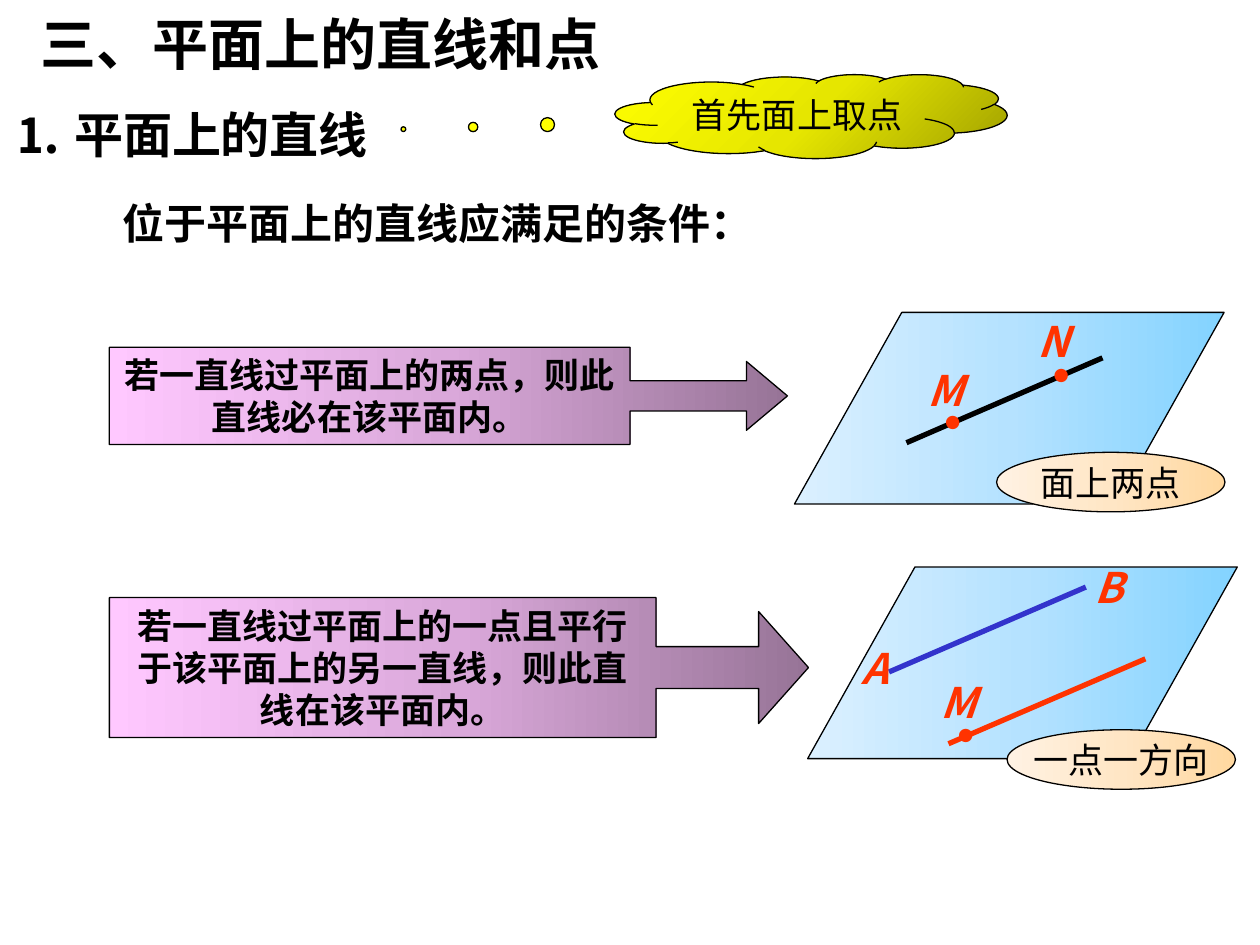
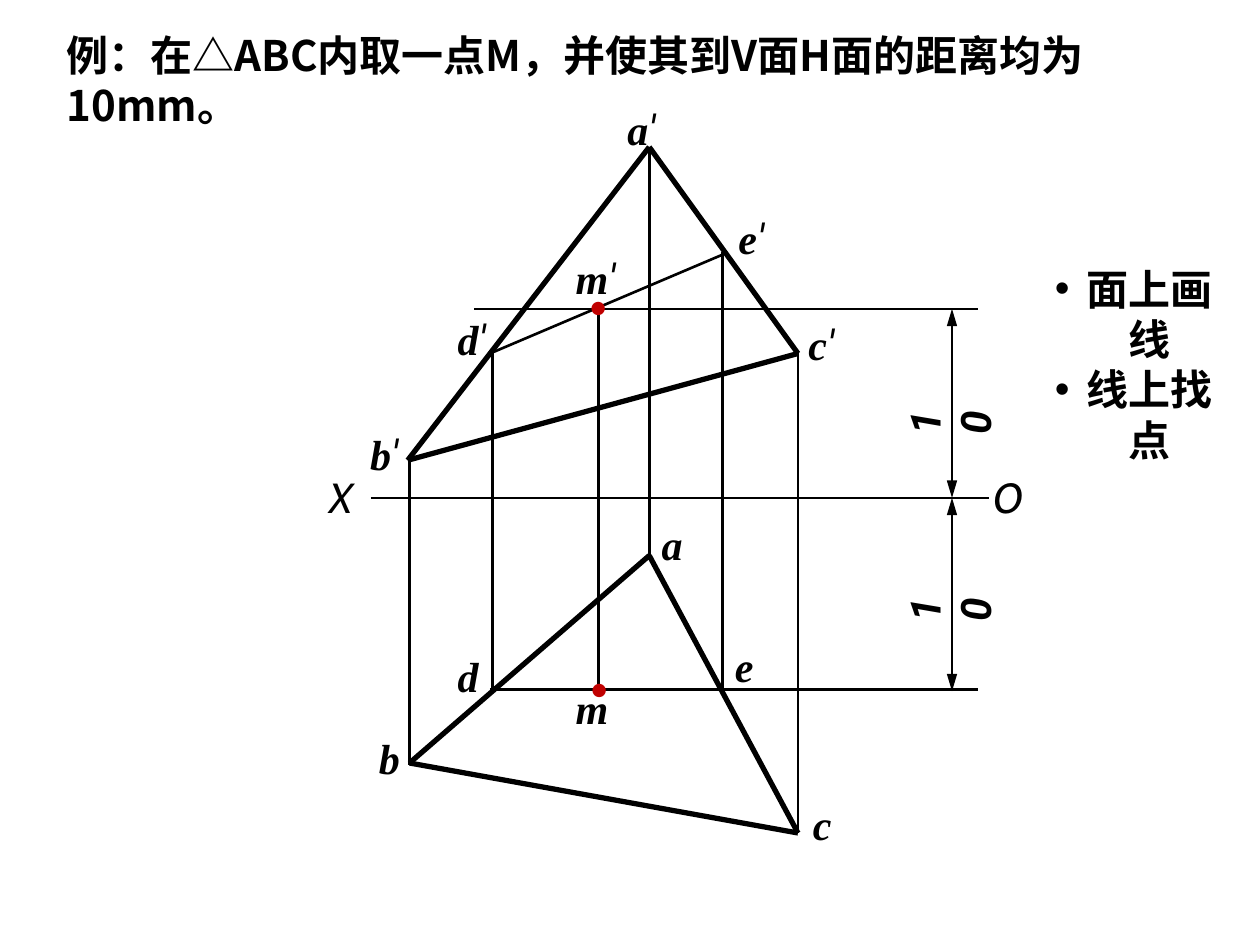
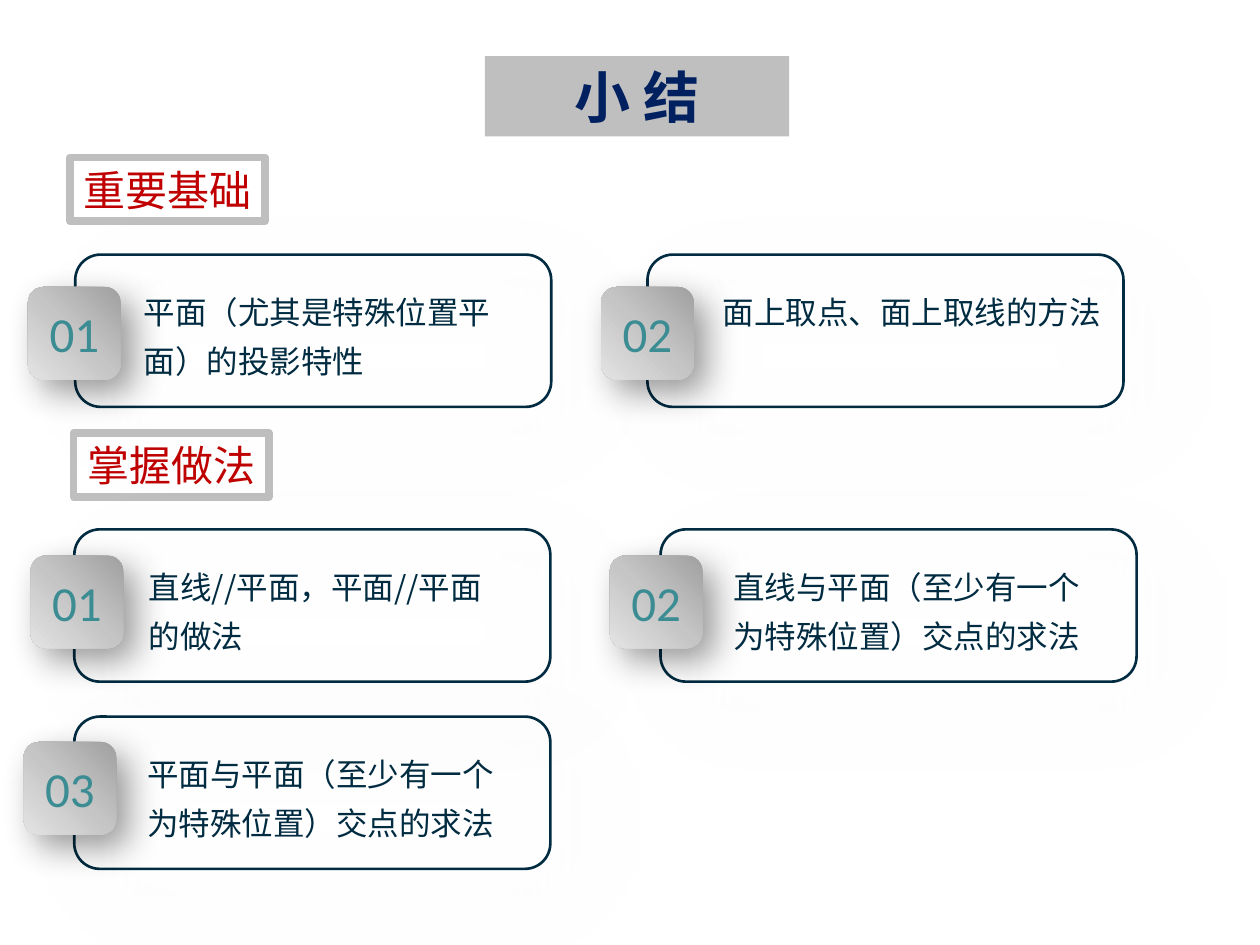
"""Build three slides on lines and points in a plane."""
from copy import deepcopy
from lxml.etree import SubElement
from pptx import Presentation
from pptx.dml.color import RGBColor
from pptx.enum.shapes import MSO_CONNECTOR, MSO_SHAPE
from pptx.enum.text import MSO_ANCHOR, MSO_AUTO_SIZE, PP_ALIGN
from pptx.oxml.ns import qn
from pptx.util import Pt

HAN = "Noto Sans CJK SC"
ROMAN = "Times New Roman"
BLACK, RED, DARK, ORANGE = "000000", "C00000", "002B41", "FF3300"
GRAY = "BFBFBF"
SKY = ("83D3FF", "B5E2FF", "DBF0FF")
PINK = ("977497", "DAA8DA", "FFC8FF")
GOLD = ("A0A000", "E6E600", "FFFF00")
PEACH = ("FFD8A0", "FFE6C5", "FFF2E3")
STEEL = ("A0A0A0", "C5C5C5", "E3E3E3")
LEFT, MID = PP_ALIGN.LEFT, PP_ALIGN.CENTER
TOP, HALF = MSO_ANCHOR.TOP, MSO_ANCHOR.MIDDLE
hue = RGBColor.from_string


def put(slide, kind, box, fades=None, turn=180, edge=None, wide=0.75, shade=None, tweak=()):
    """Add a preset shape with a gradient, an outline and a shadow."""
    shape = slide.shapes.add_shape(kind, *map(Pt, box))
    for spot, value in enumerate(tweak):
        shape.adjustments[spot] = value
    if fades:
        shape.fill.gradient()
        shape.fill.gradient_angle = 360 - turn
        first = shape._element.spPr.find(".//" + qn("a:gs"))
        first.addnext(deepcopy(first))
        for spot, stop in enumerate(shape.fill.gradient_stops):
            stop.color.rgb = hue(fades[spot])
            stop.position = spot / 2
    else:
        shape.fill.background()
    if edge:
        shape.line.color.rgb = hue(edge)
        shape.line.width = Pt(wide)
    else:
        shape.line.fill.background()
    shape.shadow.inherit = False
    if shade:
        color, alpha, blur, dist = shade
        glow = SubElement(shape._element.spPr.find(qn("a:effectLst")), qn("a:outerShdw"),
                          blurRad=str(Pt(blur)), dist=str(Pt(dist)), dir="2700000",
                          algn="tl", rotWithShape="0")
        tint = SubElement(glow, qn("a:srgbClr"), val=color)
        SubElement(tint, qn("a:alpha"), val=str(alpha * 1000))
    return shape


def say(shape, text, size, face=HAN, color=BLACK, bold=False, ital=False, align=LEFT,
        anchor=TOP, wrap=True, grow=False, pad=None, gap=None):
    """Write text in a shape; a closing prime gets its own upright weight."""
    frame = shape.text_frame
    frame.word_wrap = wrap
    frame.auto_size = MSO_AUTO_SIZE.SHAPE_TO_FIT_TEXT if grow else MSO_AUTO_SIZE.NONE
    frame.vertical_anchor = anchor
    if pad is not None:
        frame.margin_left = frame.margin_right = Pt(pad)
        frame.margin_top = frame.margin_bottom = Pt(pad)
    frame.text = text.removesuffix("′")
    for para in frame.paragraphs:
        para.alignment = align
        para.space_before = Pt(0)
        if gap:
            para.line_spacing = gap
        font = para.font
        font.name, font.size, font.bold, font.italic = face, Pt(size), bold, ital
        font.color.rgb = hue(color)
        SubElement(font._element, qn("a:ea"), typeface=HAN)
    if text.endswith("′"):
        run = para.add_run()
        run.text = "′"
        run.font.name, run.font.bold = "Roboto", False


deck = Presentation()
deck.slide_width, deck.slide_height = Pt(720), Pt(540)

slides = []
for plan, text, box, size, face, color, align in (
    (5, "三、平面上的直线和点", (16, 2, 423, 46), 32, ROMAN, BLACK, LEFT),
    (1, "例：在△ABC内取一点M，并使其到V面H面的距离均为10mm。",
     (31, 13, 674, 37), 24, HAN, BLACK, LEFT),
    (5, "小 结", (277, 32, 174, 46), 32, HAN, "002060", MID),
):
    slide = deck.slides.add_slide(deck.slide_layouts[plan])
    title = slide.shapes.title
    title.left, title.top, title.width, title.height = map(Pt, box)
    say(title, text, size, face, color, bold=True, align=align)
    slides.append(slide)
rules, task, recap = slides
title.fill.solid()
title.fill.fore_color.rgb = hue(GRAY)

for text, box, size in (
    ("位于平面上的直线应满足的条件：", (63, 109, 513, 37), 24),
    ("⒈ 平面上的直线", (1, 56, 362, 41), 28),
):
    say(rules.shapes.add_textbox(*map(Pt, box)), text, size, bold=True, anchor=HALF)

for x, y in ((454, 178.5), (461.5, 324)):
    put(rules, MSO_SHAPE.PARALLELOGRAM, (x, y, 245.5, 109.5), SKY, edge=BLACK, tweak=(0.56,))

thick = [(371, 84, 456, 202), (233, 263, 456, 202), (371, 84, 233, 263),
         (371, 317.5, 456, 476), (234, 436, 456, 476), (371, 317.5, 234, 436)]
level = [(212, 284.5, 565, 284.5), (271, 176.5, 559, 176.5), (280, 394, 559, 394),
         (280, 202, 413, 145.5)]
drops = [(x, top, x, end) for x, top, end in (
    (342, 176.5, 395), (281.5, 202, 395), (413, 144, 396),
    (456, 202, 476), (371, 84, 320), (234, 263, 437))]
spans = [(544, 176.5, 544, 284.5), (544, 284.5, 544, 395)]
for slide, color, wide, tips, group in (
    (rules, BLACK, 3, False, [(518, 253, 630, 204.5)]),
    (rules, "3333CC", 3, False, [(508, 384, 620.5, 335.5)]),
    (rules, ORANGE, 3, False, [(542, 425, 654.5, 376.5)]),
    (task, BLACK, 1.5, False, level + drops),
    (task, BLACK, 3, False, thick),
    (task, BLACK, 1.5, True, spans),
):
    for ends in group:
        line = slide.shapes.add_connector(MSO_CONNECTOR.STRAIGHT, *map(Pt, ends))
        line.line.color.rgb = hue(color)
        line.line.width = Pt(wide)
        if tips:
            for tip in ("a:headEnd", "a:tailEnd"):
                SubElement(line.line._get_or_add_ln(), qn(tip), type="triangle", len="lg")
        SubElement(line._element.spPr, qn("a:effectLst"))

for slide, color, x, y in (
    (rules, ORANGE, 595, 204), (rules, ORANGE, 533, 231), (rules, ORANGE, 540.5, 409.5),
    (task, RED, 330.5, 165.5), (task, RED, 331, 384),
):
    dot = slide.shapes.add_textbox(Pt(x), Pt(y), Pt(24.5), Pt(19.5))
    say(dot, "●", 10, "Cambria", color, wrap=False, grow=True)

for text, x, y in (("M", 523, 204.5), ("N", 586, 177), ("A", 485, 363.5),
                   ("B", 618.5, 317.5), ("M", 530.5, 383)):
    mark = rules.shapes.add_textbox(Pt(x), Pt(y), Pt(26.5), Pt(36))
    say(mark, text, 24, HAN, ORANGE, bold=True, ital=True, wrap=False, grow=True)

for text, x, y, width in (
    ("a′", 358.5, 59, 18), ("b′", 211.5, 245, 18), ("c′", 462, 182, 17),
    ("d′", 261.5, 179, 18), ("e′", 422, 121.5, 17), ("m′", 329, 144, 24.5),
    ("a", 378, 296.5, 12), ("b", 216.5, 418.5, 12), ("c", 464.5, 456, 11),
    ("d", 261.5, 371.5, 12), ("e", 420, 366, 11), ("m", 329, 390, 18.5),
    ("X", 188.5, 269.5, 14), ("O", 568, 269.5, 17),
):
    axis = text in "XO"
    mark = task.shapes.add_textbox(Pt(x), Pt(y), Pt(width), Pt(29))
    say(mark, text, 24, "Cabin" if axis else ROMAN, bold=not axis, ital=True,
        wrap=False, grow=True, pad=0)

for y in (220.5, 327):
    size = task.shapes.add_textbox(Pt(511), Pt(y), Pt(34), Pt(36))
    size.rotation = 270
    say(size, "10", 24, "Roboto", bold=True, ital=True)

steps = task.placeholders[1]
steps.left, steps.top, steps.width, steps.height = map(Pt, (588, 152, 119.5, 112))
say(steps, "面上画线\n线上找点", 24, ROMAN, bold=True, align=MID, anchor=HALF)
for para in steps.text_frame.paragraphs:
    props = para._p.get_or_add_pPr()
    props.set("marL", str(Pt(18)))
    props.set("indent", str(-Pt(18)))

for text, box, tweak in (
    ("若一直线过平面上的两点，则此直线必在该平面内。",
     (62.5, 198.5, 387.5, 55.5), (0.31, 0.354, 0.422, 0.768)),
    ("若一直线过平面上的一点且平行于该平面上的另一直线，则此直线在该平面内。",
     (62.5, 341.5, 399.5, 80), (0.299, 0.4, 0.356, 0.782)),
):
    law = put(rules, MSO_SHAPE.RIGHT_ARROW_CALLOUT, box, PINK, edge=BLACK, tweak=tweak)
    say(law, text, 20, bold=True, align=MID, anchor=HALF)

cloud = put(rules, MSO_SHAPE.CLOUD_CALLOUT, (351.5, 42.5, 224, 48), GOLD, 225, BLACK,
            tweak=(-1.04, 0.153))
say(cloud, "首先面上取点", 20, align=MID, anchor=HALF)
for text, x, y in (("面上两点", 569.5, 258.5), ("一点一方向", 575.5, 417)):
    oval = put(rules, MSO_SHAPE.OVAL, (x, y, 130.5, 34), PEACH, edge=BLACK)
    say(oval, text, 20, "Arial", align=MID, anchor=HALF, wrap=False)

for text, x, y in (("重要基础", 40, 90), ("掌握做法", 42, 247.5)):
    head = put(recap, MSO_SHAPE.RECTANGLE, (x, y, 111.5, 36.5), edge=GRAY, wide=4.5)
    say(head, text, 24, color=RED, align=MID, anchor=HALF, wrap=False)

for num, text, x, y, left, top, start, width in (
    ("01", "平面（尤其是特殊位置平面）的投影特性", 43, 145.5, 16, 164, 75, 229),
    ("02", "面上取点、面上取线的方法", 370, 145.5, 343.5, 164, 406, 238),
    ("01", "直线//平面，平面//平面的做法", 42.5, 302.5, 17.5, 317.5, 78, 220),
    ("02", "直线与平面（至少有一个为特殊位置）交点的求法", 377.5, 302.5, 348.5, 317.5, 412, 220),
    ("03", "平面与平面（至少有一个为特殊位置）交点的求法", 42.5, 409.5, 13.5, 424, 77, 220),
):
    put(recap, MSO_SHAPE.ROUNDED_RECTANGLE, (x, y, 272, 87), edge=DARK, wide=1.5,
        shade=("808080", 20, 50, 20))
    tile = put(recap, MSO_SHAPE.ROUNDED_RECTANGLE, (left, top, 53, 53), STEEL, 135,
               shade=(BLACK, 40, 20, 10))
    say(tile, num, 28, "Calibri", "3C8C93", align=MID, anchor=HALF)
    note = recap.shapes.add_textbox(Pt(start), Pt(y + 12), Pt(width), Pt(61))
    say(note, text, 18, color=DARK, gap=1.3)

deck.save("out.pptx")
